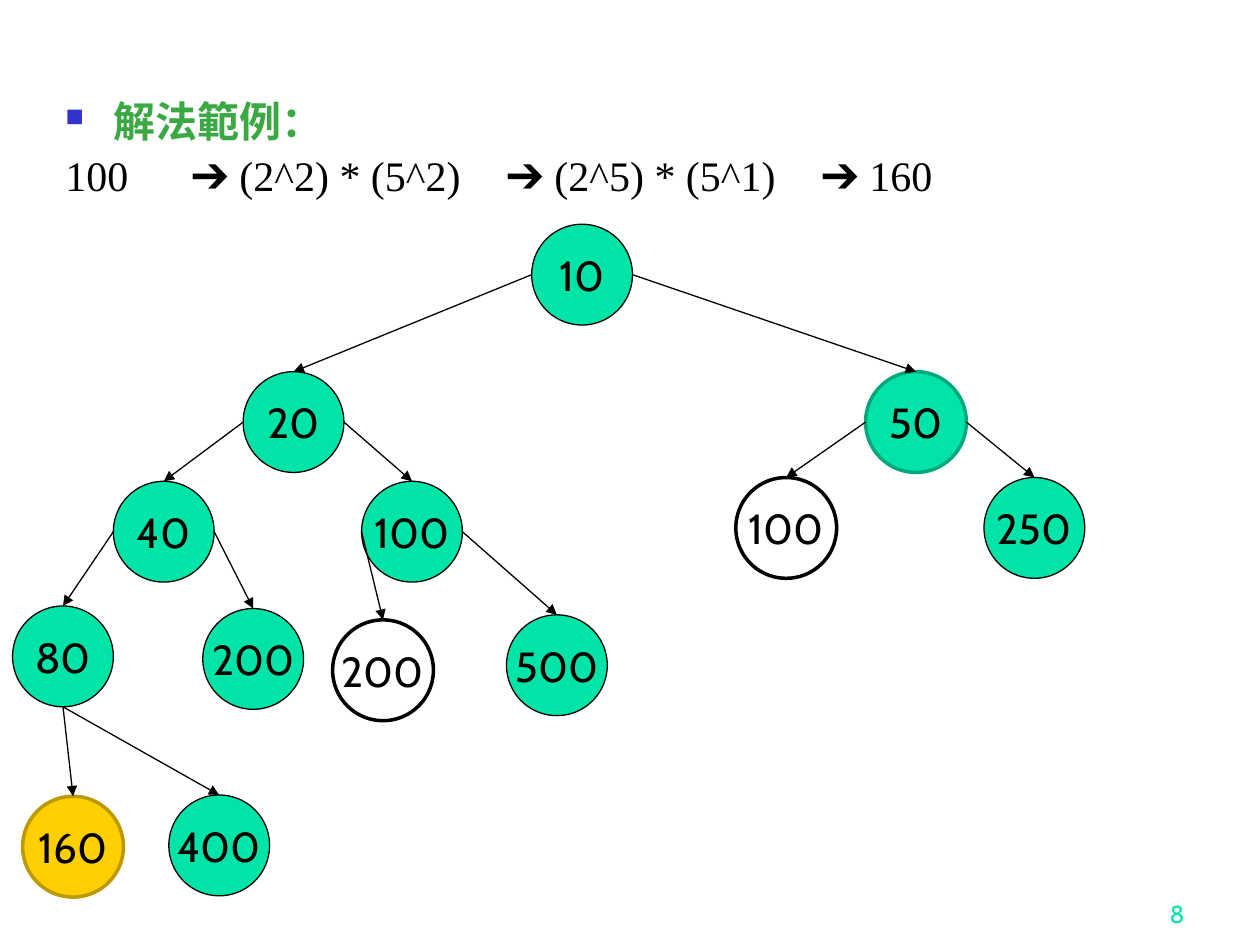
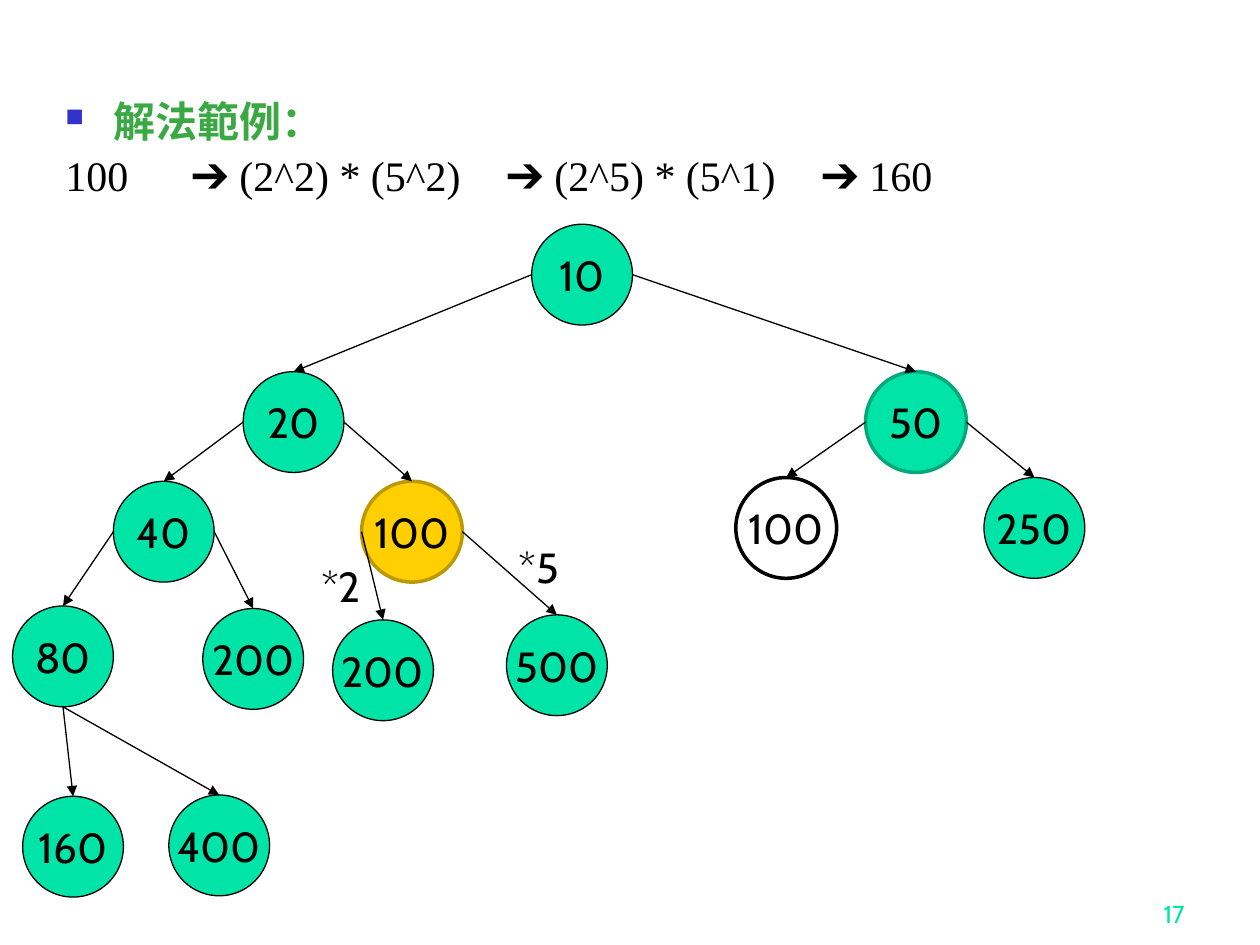
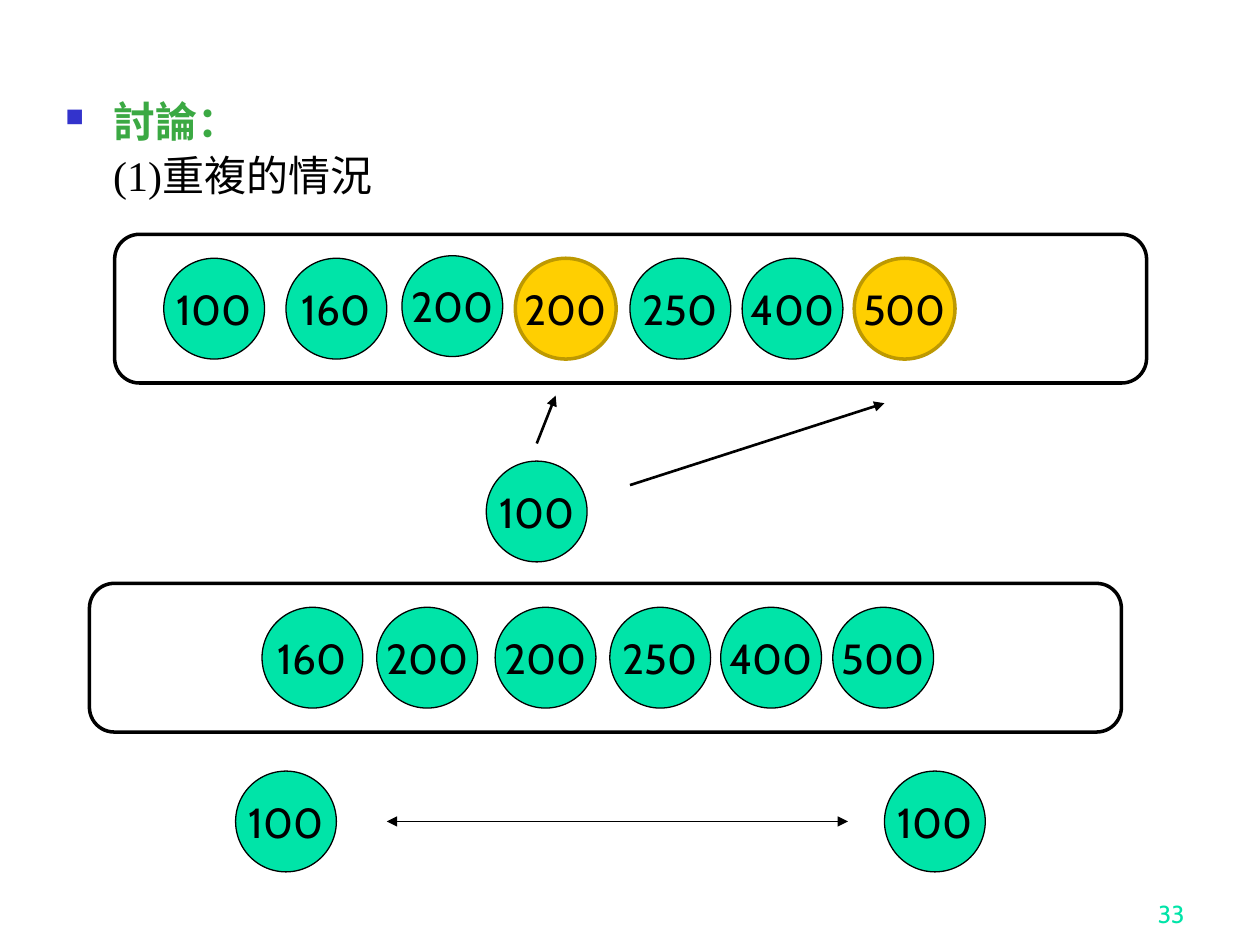
"""Builds three slides on searching a tree of numbers made of 2s and 5s."""
from pptx import Presentation
from pptx.dml.color import RGBColor
from pptx.enum.shapes import MSO_CONNECTOR as Wire, MSO_SHAPE as Kind
from pptx.enum.text import MSO_ANCHOR as Anchor, PP_ALIGN as Align
from pptx.oxml import parse_xml
from pptx.oxml.ns import nsdecls, qn
from pptx.util import Pt
from lxml.etree import SubElement

PX = 9144
SIZE = 80
BLACK, MINT, GREEN = "000000", "00E4A8", "3BA943"
PLAIN = (MINT, BLACK, 0.75)
EDGED = (MINT, "00A97C", 2)
GOLD = ("FFCF01", "BD9901", 2)
EMPTY = ("FFFFFF", BLACK, 2)
LABEL = {"name": "Cabin", "size": Pt(24)}
PAGE = {"name": "Cabin", "size": Pt(14)}
HEAD = {"name": "Times New Roman", "size": Pt(24), "bold": True}
TEXT = {**HEAD, "bold": False}
MID = {"word_wrap": False, "vertical_anchor": Anchor.MIDDLE}
TOP = {"word_wrap": True, "vertical_anchor": Anchor.TOP}
BASE = {"word_wrap": True, "vertical_anchor": Anchor.BOTTOM}
SIDES = {"left": (0, 40), "right": (80, 40), "under": (40, 80)}
BULLET = (
    '<a:buClr {0}><a:srgbClr val="3333CC"/></a:buClr>',
    '<a:buSzPct {0} val="60000"/>',
    '<a:buChar {0} char="■"/>',
)
rgb = RGBColor.from_string


def put(slide, kind, box, lines=(), look=None, frame=MID, align=Align.CENTER):
    """Place a shape, or a text box when kind is None, with its lines of text."""
    box = [n * PX for n in box]
    if kind is None:
        shape = slide.shapes.add_textbox(*box)
    else:
        shape = slide.shapes.add_shape(kind, *box)
        fill, edge, width = look
        shape.shadow.inherit = False
        shape.fill.solid()
        shape.fill.fore_color.rgb = rgb(fill)
        shape.line.color.rgb = rgb(edge)
        shape.line.width = Pt(width)
    body = shape.text_frame
    for key, val in frame.items():
        setattr(body, key, val)
    for i, (text, form, tint) in enumerate(lines):
        para = body.add_paragraph() if i else body.paragraphs[0]
        para.alignment = align
        run = para.add_run()
        run.text = text
        run.font.color.rgb = rgb(tint)
        for key, val in form.items():
            setattr(run.font, key, val)
    return shape


def link(slide, start, end, width=0.75, ends=("tailEnd",)):
    """Draw a black arrow with the given ends."""
    wire = slide.shapes.add_connector(Wire.STRAIGHT, *[n * PX for n in (*start, *end)])
    wire.line.color.rgb = rgb(BLACK)
    wire.line.width = Pt(width)
    for tag in ends:
        SubElement(wire.line._get_or_add_ln(), qn("a:" + tag), type="triangle")
    SubElement(wire._element.spPr, qn("a:effectLst"))


deck = Presentation()
deck.slide_width, deck.slide_height = 1000 * PX, 750 * PX

SUM = "100\t➔ (2^2) * (5^2) \t➔ (2^5) * (5^1) \t➔ 160"
pages = [
    ("8", "解法範例：", SUM, 947, 0),
    ("17", "解法範例：", SUM, 947, 0),
    ("33", "討論：", "(1)重複的情況", 883, 38),
]
slides = []
for num, title, note, width, inset in pages:
    slide = deck.slides.add_slide(deck.slide_layouts[6])
    slides.append(slide)
    put(slide, None, (742, 692, 208, 50), [(num, PAGE, MINT)], frame=BASE, align=Align.RIGHT)
    lines = [(title, HEAD, GREEN), (note, TEXT, BLACK)]
    box = put(slide, None, (42, 75, width, 615), lines, frame=TOP, align=Align.LEFT)
    first, second = box.text_frame.paragraphs
    first.line_spacing = second.line_spacing = 0.9
    second.space_before = Pt(5)
    for para, left, hang in ((first, 38, -38), (second, inset, 0)):
        props = para._p.get_or_add_pPr()
        props.set("marL", str(left * PX))
        props.set("indent", str(hang * PX))
    for tag in BULLET:
        first._p.pPr.append(parse_xml(tag.format(nsdecls("a"))))

tree = {
    "root": ("10", 422, 178, None, None),
    "20": ("20", 193, 295, "root", "left"),
    "50": ("50", 687, 295, "root", "right"),
    "40": ("40", 90, 382, "20", "left"),
    "100": ("100", 287, 382, "20", "right"),
    "80": ("80", 10, 481, "40", "left"),
    "200": ("200", 161, 483, "40", "right"),
    "100b": ("100", 584, 379, "50", "left"),
    "250": ("250", 781, 379, "50", "right"),
    "200b": ("200", 264, 492, "100", "left"),
    "500": ("500", 402, 488, "100", "right"),
    "160": ("160", 18, 632, "80", "under"),
    "400": ("400", 134, 631, "80", "under"),
}
looks = [
    {"50": EDGED, "100b": EMPTY, "200b": EMPTY, "160": GOLD},
    {"50": EDGED, "100b": EMPTY, "100": GOLD},
]
for slide, look in zip(slides, looks):
    for key, (text, x, y, up, side) in tree.items():
        put(slide, Kind.OVAL, (x, y, SIZE, SIZE), [(text, LABEL, BLACK)], look.get(key, PLAIN))
    for text, x, y, up, side in tree.values():
        if up:
            dx, dy = SIDES[side]
            link(slide, (tree[up][1] + dx, tree[up][2] + dy), (x + SIZE // 2, y))

for text, x, y in (("*2", 245, 440), ("*5", 402, 425)):
    put(slides[1], None, (x, y, 69, 50), [(text, LABEL, BLACK)], frame=TOP, align=Align.LEFT)

last = slides[2]
for x, y in ((91, 186), (71, 463)):
    put(last, Kind.ROUNDED_RECTANGLE, (x, y, 819, 118), look=EMPTY)
balls = [
    ("100", 130, 205, PLAIN), ("160", 227, 205, PLAIN), ("200", 319, 203, PLAIN),
    ("200", 409, 205, GOLD), ("250", 500, 205, PLAIN), ("400", 589, 205, PLAIN),
    ("500", 678, 205, GOLD), ("100", 386, 366, PLAIN),
    ("160", 208, 482, PLAIN), ("200", 299, 482, PLAIN), ("200", 393, 482, PLAIN),
    ("250", 484, 482, PLAIN), ("400", 572, 482, PLAIN), ("500", 661, 482, PLAIN),
    ("100", 187, 612, PLAIN), ("100", 702, 612, PLAIN),
]
for text, x, y, look in balls:
    put(last, Kind.OVAL, (x, y, SIZE, SIZE), [(text, LABEL, BLACK)], look)
link(last, (426, 352), (441, 314), 1.5)
link(last, (500, 385), (702, 320), 1.5)
link(last, (307, 652), (673, 652), ends=("headEnd", "tailEnd"))

deck.save("out.pptx")
